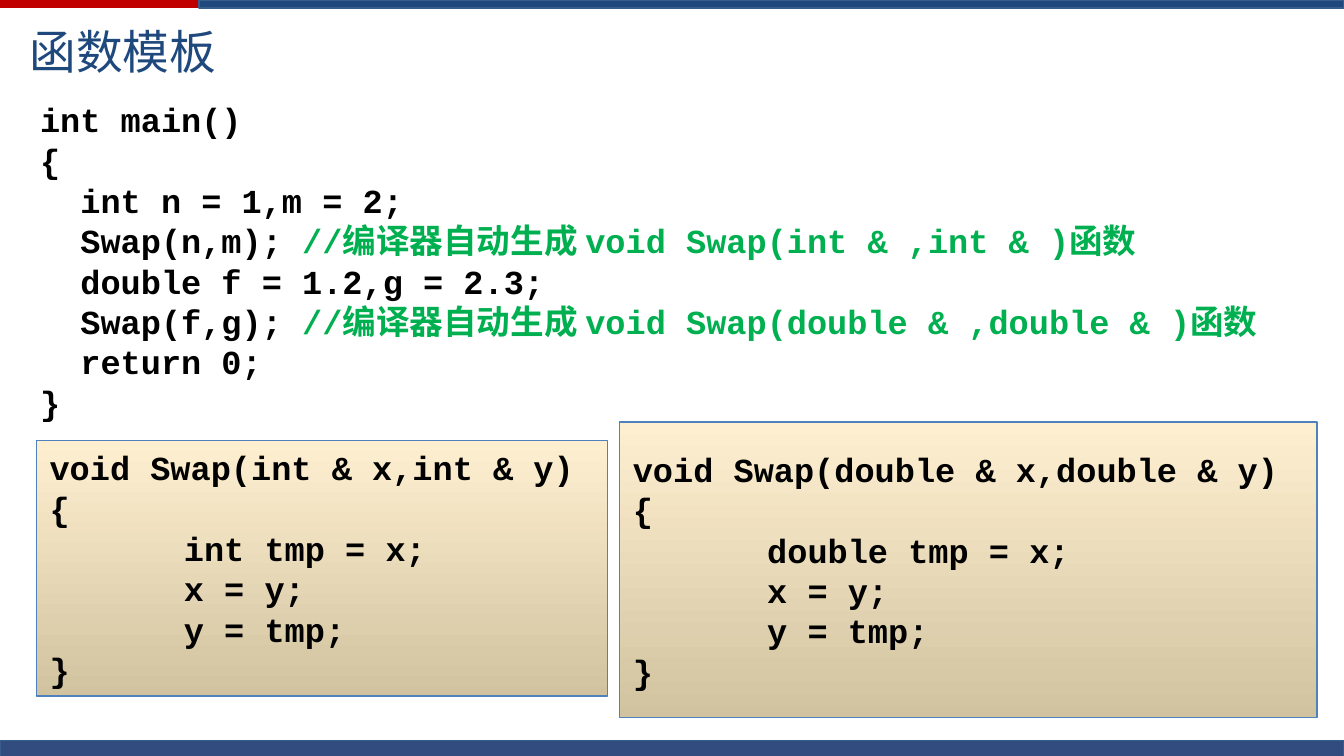
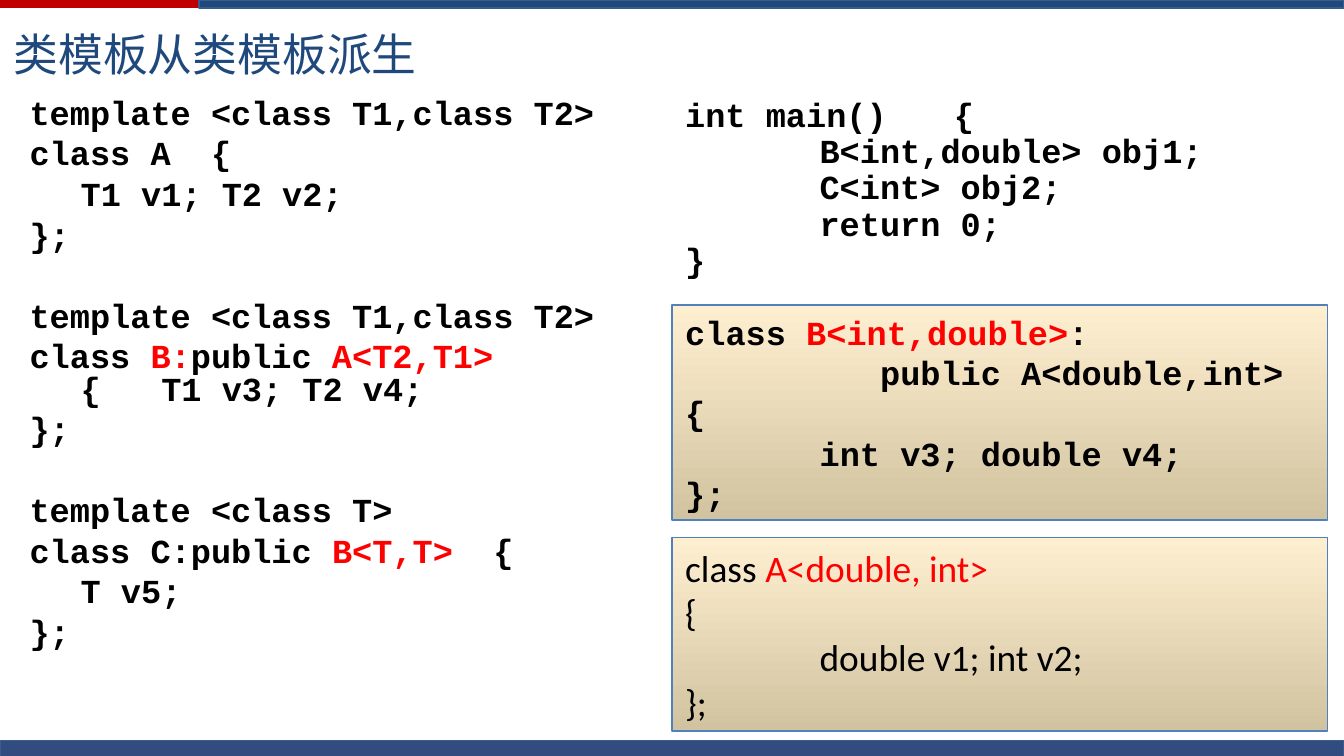
from lxml.etree import SubElement
from pptx import Presentation
from pptx.dml.color import RGBColor
from pptx.enum.shapes import MSO_SHAPE
from pptx.enum.text import MSO_ANCHOR, MSO_AUTO_SIZE, PP_ALIGN
from pptx.oxml.ns import qn
from pptx.util import Inches, Pt

COLORS = {
    "red": "C00000", "blue": "1F497D", "edge": "385D8A", "footer": "002060",
    "code": "000000", "comment": "00B050", "accent": "FF0000",
    "panel_top": "FFEFD1", "panel_bottom": "D1C39F", "panel_line": "4F81BD",
}
CJK, CODE = "Noto Sans CJK SC", "Courier New"
WIDTH = 10
HEIGHT = WIDTH * 9 / 16

MAIN_CODE = [
    "int main()",
    "{",
    "  int n = 1,m = 2;",
    ("  Swap(n,m); ", "//编译器自动生成 void Swap(int & ,int & )函数"),
    "  double f = 1.2,g = 2.3;",
    ("  Swap(f,g); ", "//编译器自动生成 void Swap(double & ,double & )函数"),
    "  return 0;",
    "}",
]
TEMPLATE_GROUPS = [
    ["template <class T1,class T2>", "class A  {", "\tT1 v1; T2 v2;", "};"],
    ["template <class T1,class T2>",
     ("class ", "B:", "public", " A<T2,T1>", "\v{   T1 v3; T2 v4;"), "};"],
    ["template <class T>", ("class C:public", " B<T,T>", "  {"), "\tT v5;", "};"],
]
USAGE_CODE = ["int main()\t{", "\tB<int,double> obj1;", "\tC<int> obj2;", "\treturn 0;", "}"]
CLASS_B = [("class ", "B<int,double>", ":"), "\t   public A<double,int>", "{",
           "\tint v3; double v4;", "};"]
CLASS_A = [("class ", "A<double, int>"), "{", "\tdouble v1; int v2;", "};"]


def rgb(name):
    """Look up a named colour."""
    return RGBColor.from_string(COLORS[name])


def swap_code(kind):
    """Return the Swap function generated for a type."""
    return [f"void Swap({kind} & x,{kind} & y)", "{", f"\t{kind} tmp = x;",
            "\tx = y;", "\ty = tmp;", "}"]


def place(s, box):
    """Move a shape to a box of inches."""
    s.left, s.top, s.width, s.height = map(Inches, box)


def add_run(p, text, color, size, font, bold=False):
    """Add one formatted run, with East Asian glyphs in the CJK font."""
    r = p.add_run()
    r.text = text
    r.font.size, r.font.name, r.font.bold = Pt(size), font, bold
    r.font.color.rgb = rgb(color)
    SubElement(r._r.get_or_add_rPr(), qn("a:ea")).set("typeface", CJK)


def add_tabs(p):
    """Remove the bullet and set a tab stop at every inch."""
    pPr = p._p.get_or_add_pPr()
    SubElement(pPr, qn("a:buNone"))
    tabs = SubElement(pPr, qn("a:tabLst"))
    for inch in range(8):
        SubElement(tabs, qn("a:tab"), pos=str(Inches(inch)), algn="l")


def write_code(tf, lines, accent="accent", size=18, font=CODE, bold=True, spacing=1.0):
    """Write code lines; every second part of a line takes the accent colour."""
    tf.word_wrap = True
    for i, line in enumerate(lines):
        p = tf.add_paragraph() if i else tf.paragraphs[0]
        add_tabs(p)
        p.alignment, p.line_spacing, p.space_before = PP_ALIGN.LEFT, spacing, Pt(0)
        for j, part in enumerate((line,) if isinstance(line, str) else line):
            if part.startswith("\v"):
                p.add_line_break()
            add_run(p, part.lstrip("\v"), accent if j % 2 else "code", size, font, bold)


def add_band(s, box, fill, line=None):
    """Draw a plain band and return it."""
    band = s.shapes.add_shape(MSO_SHAPE.RECTANGLE, *map(Inches, box))
    band.shadow.inherit = False
    band.fill.solid()
    band.fill.fore_color.rgb = rgb(fill)
    if line:
        band.line.color.rgb = rgb(line)
        band.line.width = Pt(0)
    else:
        band.line.fill.background()
    return band


def build_master(prs, s):
    """Draw the shared bands and move them behind everything on the master."""
    bands = [
        add_band(s, (0, 0, WIDTH, 0.06), "red"),
        add_band(s, (1.48, 0, WIDTH - 1.48, 0.06), "blue", "edge"),
        add_band(s, (0, 5.51, WIDTH, 0.12), "footer", "edge"),
    ]
    color = bands[-1].element.spPr.find(qn("a:solidFill"))[0]
    SubElement(color, qn("a:alpha")).set("val", "80000")
    tree = prs.slide_master.element.cSld.spTree
    for i, band in enumerate(bands):
        tree.insert(2 + i, band.element)


def add_title(s, box, text, size, font):
    """Fill the title placeholder."""
    place(s.shapes.title, box)
    tf = s.shapes.title.text_frame
    tf.auto_size, tf.vertical_anchor = MSO_AUTO_SIZE.NONE, MSO_ANCHOR.MIDDLE
    p = tf.paragraphs[0]
    p.alignment = PP_ALIGN.LEFT
    add_run(p, text, "blue", size, font)


def add_listing(s, box, lines, top_inset=0.05, **style):
    """Add a code text box without a frame."""
    tf = s.shapes.add_textbox(*map(Inches, box)).text_frame
    tf.margin_top = Inches(top_inset)
    write_code(tf, lines, **style)


def add_panel(s, box, lines, anchor=MSO_ANCHOR.MIDDLE, **style):
    """Add a code panel with a gradient fill."""
    panel = s.shapes.add_shape(MSO_SHAPE.RECTANGLE, *map(Inches, box))
    panel.shadow.inherit = False
    panel.fill.gradient()
    panel.fill.gradient_angle = 270
    for stop, name, pos in zip(panel.fill.gradient_stops, ("panel_top", "panel_bottom"), (0, 1)):
        stop.color.rgb = rgb(name)
        stop.position = pos
    panel.line.color.rgb = rgb("panel_line")
    panel.line.width = Pt(0.75)
    panel.text_frame.vertical_anchor = anchor
    write_code(panel.text_frame, lines, **style)


def add_templates(s, box, groups):
    """Fill the body placeholder with groups of class templates."""
    body = s.placeholders[1]
    place(body, box)
    tf = body.text_frame
    tf.auto_size = MSO_AUTO_SIZE.NONE
    write_code(tf, sum(groups, []), spacing=0.8)
    starts = {sum(map(len, groups[:i])) for i in range(1, len(groups))}
    for i, p in enumerate(tf.paragraphs):
        pPr = p._p.get_or_add_pPr()
        pPr.set("marL", str(Inches(0.38)))
        pPr.set("indent", str(-Inches(0.38)))
        if i:
            p.space_before = Pt(26 if i in starts else 4.5)


def build_function_slide(s):
    """Show a function template and the functions generated from it."""
    add_title(s, (0.12, 0.14, 8.25, 0.47), "函数模板", 25, CJK)
    add_listing(s, (0.2, 0.69, 9.6, 2.52), MAIN_CODE, accent="comment")
    add_panel(s, (4.61, 3.14, 5.19, 2.2), swap_code("double"))
    add_panel(s, (0.27, 3.28, 4.25, 1.9), swap_code("int"), MSO_ANCHOR.TOP)


def build_class_slide(s):
    """Show class templates derived from class templates."""
    add_title(s, (0, 0.1, 8.25, 0.6), "类模板从类模板派生", 24, "Arial")
    add_templates(s, (0.12, 0.69, 4.65, 4.49), TEMPLATE_GROUPS)
    add_listing(s, (5, 0.37, 5, 2.02), USAGE_CODE, top_inset=0.36, spacing=0.9)
    add_panel(s, (5, 2.27, 4.88, 1.6), CLASS_B)
    add_panel(s, (5, 4, 4.88, 1.44), CLASS_A, size=20, font="Calibri", bold=False)


def main():
    """Build and save the deck."""
    prs = Presentation()
    prs.slide_width, prs.slide_height = Inches(WIDTH), Inches(HEIGHT)
    function_slide = prs.slides.add_slide(prs.slide_layouts[5])
    build_master(prs, function_slide)
    build_function_slide(function_slide)
    build_class_slide(prs.slides.add_slide(prs.slide_layouts[1]))
    prs.save("out.pptx")


if __name__ == "__main__":
    main()
